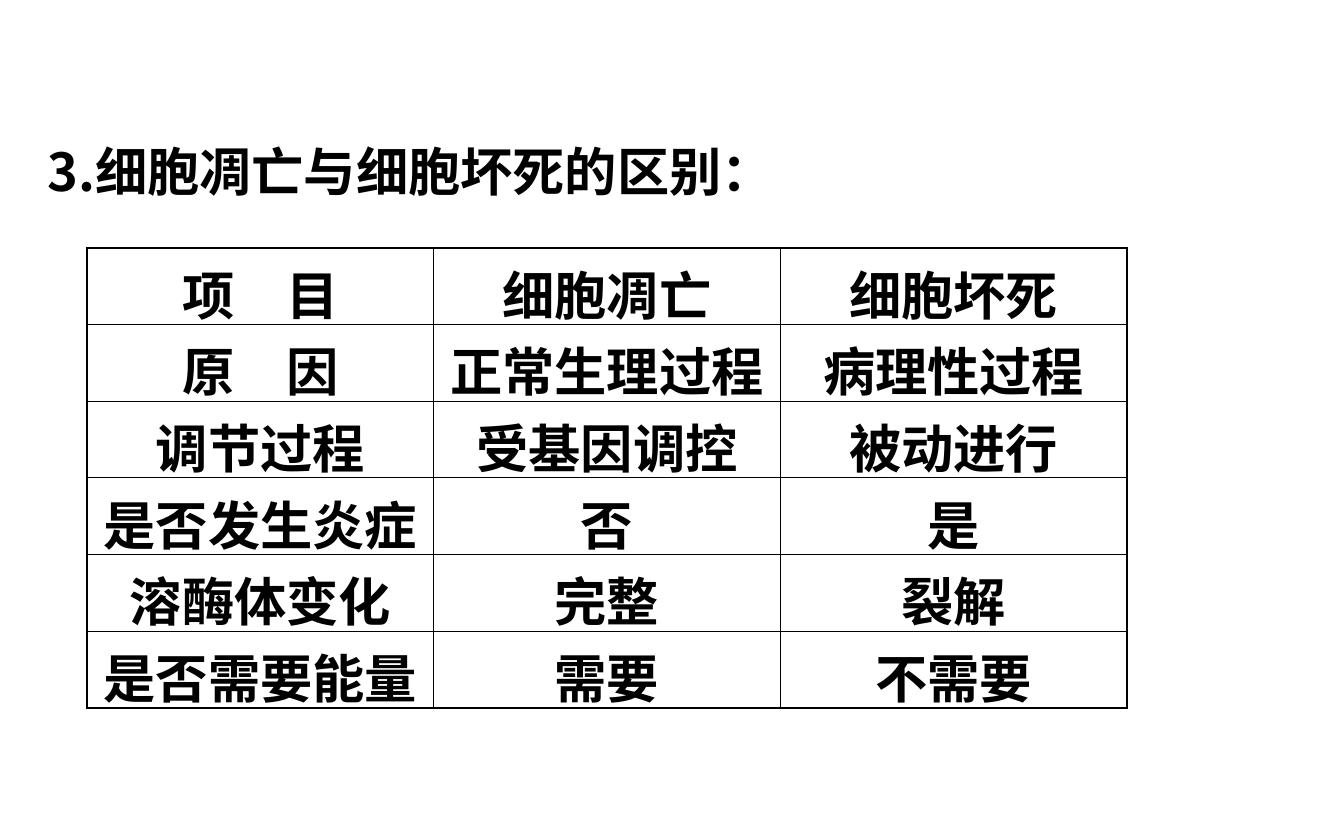
from lxml import etree
from pptx import Presentation
from pptx import util as u
from pptx.dml.color import RGBColor
from pptx.enum import text
from pptx.oxml import ns

BLACK = RGBColor(0, 0, 0)
WHITE = RGBColor(255, 255, 255)
FACE = "Noto Sans CJK SC"
SCALE = 914400 / 134.4
THIN, THICK = 0.45, 0.96

ROWS = [
    ("项　目", "细胞凋亡", "细胞坏死"),
    ("原　因", "正常生理过程", "病理性过程"),
    ("调节过程", "受基因调控", "被动进行"),
    ("是否发生炎症", "否", "是"),
    ("溶酶体变化", "完整", "裂解"),
    ("是否需要能量", "需要", "不需要"),
]


def px(n):
    return u.Emu(round(n * SCALE))


def write(par, words, align):
    par.alignment = align
    run = par.add_run()
    run.text = words
    font = run.font
    font.size, font.bold, font.name = u.Pt(28), True, FACE
    font.color.rgb = BLACK
    east = etree.SubElement(run._r.get_or_add_rPr(), ns.qn("a:ea"))
    east.set("typeface", FACE)


def edge(cell, widths):
    # Borders come before the fill in the cell properties
    props = cell._tc.get_or_add_tcPr()
    for i, (side, wide) in enumerate(widths.items()):
        line = etree.Element(ns.qn("a:ln" + side), w=str(u.Pt(wide)))
        fill = etree.SubElement(line, ns.qn("a:solidFill"))
        etree.SubElement(fill, ns.qn("a:srgbClr"), val=str(BLACK))
        props.insert(i, line)


def add_title(slide, box):
    title = slide.shapes.title
    title.left, title.top, title.width, title.height = map(px, box)
    frame = title.text_frame
    frame.word_wrap = True
    frame.auto_size = text.MSO_AUTO_SIZE.NONE
    frame.vertical_anchor = text.MSO_ANCHOR.TOP
    par = frame.paragraphs[0]
    par.line_spacing = 1.5
    par.space_before = u.Pt(0)
    write(par, "3.细胞凋亡与细胞坏死的区别：", text.PP_ALIGN.LEFT)


def add_grid(slide, box):
    high, wide = len(ROWS), len(ROWS[0])
    table = slide.shapes.add_table(high, wide, *map(px, box)).table
    table.first_row = table.horz_banding = False
    for r, row in enumerate(ROWS):
        for c, words in enumerate(row):
            cell = table.cell(r, c)
            # The tall line may reach below the row without stretching it
            cell.margin_bottom = px(-7)
            cell.fill.solid()
            cell.fill.fore_color.rgb = WHITE
            write(cell.text_frame.paragraphs[0], words, text.PP_ALIGN.CENTER)
            # Outer edges are thick, inner ones thin
            outer = {"L": c == 0, "R": c == wide - 1,
                     "T": r == 0, "B": r == high - 1}
            edge(cell, {s: THICK if o else THIN for s, o in outer.items()})


def main():
    deck = Presentation()
    deck.slide_width, deck.slide_height = px(1344), px(840)
    slide = deck.slides.add_slide(deck.slide_layouts[5])
    add_title(slide, (34, 101, 1267, 108))
    add_grid(slide, (87, 248, 1040, 460))
    deck.save("out.pptx")


if __name__ == "__main__":
    main()
